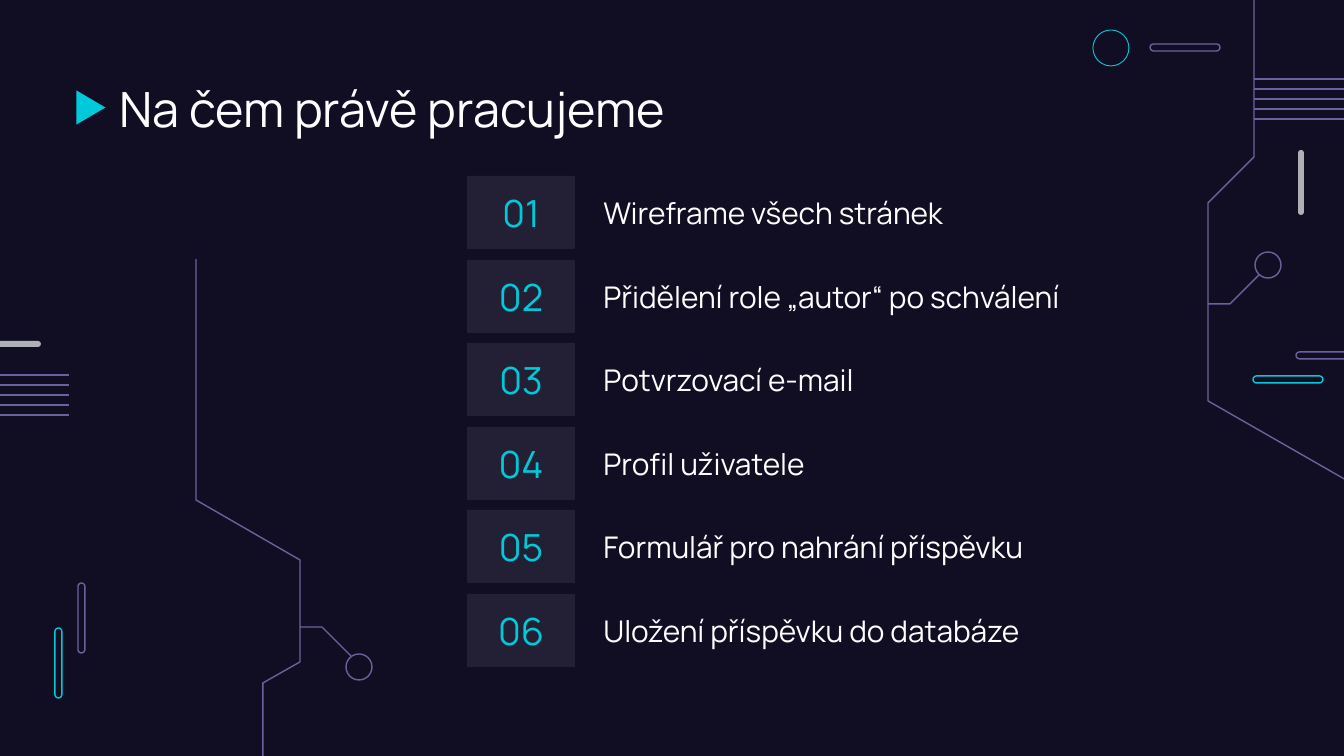
from copy import deepcopy
from dataclasses import dataclass

from lxml import etree
from pptx import Presentation
from pptx import util as u
from pptx.dml.color import RGBColor
from pptx.enum import shapes, text
from pptx.oxml.ns import qn

SCALE = 914400 / 134.4
SHAPE = shapes.MSO_SHAPE


@dataclass(frozen=True)
class Theme:
    font: str = "Manrope"
    background: str = "110E24"
    accent: str = "00CADA"
    circuit: str = "69639C"
    bar: str = "AFAFB6"
    light: str = "FFFFFF"
    card_alpha: int = 8
    title_size: int = 26
    number_size: int = 20
    task_size: int = 16
    stroke: float = 0.75
    thin_stroke: float = 0.47


THEME = Theme()
HEADING = "Na čem právě pracujeme"
TASKS = [
    ("Wireframe všech stránek", 399),
    ("Přidělení role „autor“ po schválení", 573),
    ("Potvrzovací e-mail", 399),
    ("Profil uživatele", 399),
    ("Formulář pro nahrání příspěvku", 503),
    ("Uložení příspěvku do databáze", 558),
]
FIRST_ROW, LAST_ROW, ROW_HEIGHT = 176, 594, 73
PILL_LONG, PILL_SHORT = 70, 7
BAR_LONG, BAR_SHORT = 65, 6
BUS_LINES, BUS_GAP = 5, 10


def px(length):
    return u.Emu(round(length * SCALE))


def rgb(color):
    return RGBColor.from_string(color)


def place(shape, *box):
    shape.left, shape.top, shape.width, shape.height = map(px, box)


def style(shape, fill=None, line=None, width=THEME.stroke):
    shape.shadow.inherit = False
    if fill:
        shape.fill.solid()
        shape.fill.fore_color.rgb = rgb(fill)
    else:
        shape.fill.background()
    if line:
        shape.line.color.rgb = rgb(line)
        shape.line.width = u.Pt(width)
    else:
        shape.line.fill.background()


def write(shape, words, size, color, align=text.PP_ALIGN.LEFT):
    frame = shape.text_frame
    frame.word_wrap = True
    frame.auto_size = text.MSO_AUTO_SIZE.NONE
    frame.vertical_anchor = text.MSO_ANCHOR.MIDDLE
    frame.margin_left = frame.margin_right = u.Inches(0.1)
    frame.margin_top = frame.margin_bottom = u.Inches(0.1)
    paragraph = frame.paragraphs[0]
    paragraph.alignment = align
    paragraph.space_before = u.Pt(0)
    run = paragraph.add_run()
    run.text = words
    run.font.name = THEME.font
    run.font.size = u.Pt(size)
    run.font.color.rgb = rgb(color)
    return paragraph


def remove_bullet(paragraph):
    properties = paragraph._p.get_or_add_pPr()
    properties.set("marL", "0")
    properties.set("indent", "0")
    etree.SubElement(properties, qn("a:buNone"))


def add_task_layout(deck):
    layout = deck.slide_layouts[1]
    body = layout.placeholders[1]
    for number in range(1, len(TASKS)):
        task_slot = deepcopy(body._element)
        task_slot.ph.idx = 20 + number
        task_slot.nvSpPr.cNvPr.set("id", str(20 + number))
        layout.shapes._spTree.append(task_slot)
    return layout


def add_preset(slide, kind, box, **look):
    shape = slide.shapes.add_shape(kind, *map(px, box))
    style(shape, **look)
    return shape


def add_capsule(slide, box, **look):
    add_preset(slide, SHAPE.ROUNDED_RECTANGLE, box, **look).adjustments[0] = 0.5


def add_trace(slide, points):
    start, *rest = [(px(x), px(y)) for x, y in points]
    builder = slide.shapes.build_freeform(*start)
    builder.add_line_segments(rest, close=False)
    style(builder.convert_to_shape(), line=THEME.circuit)


def add_bus(slide, start, end, top):
    for number in range(BUS_LINES):
        y = px(top + number * BUS_GAP)
        wire = slide.shapes.add_connector(
            shapes.MSO_CONNECTOR.STRAIGHT, px(start), y, px(end), y)
        wire.line.color.rgb = rgb(THEME.circuit)
        wire.line.width = u.Pt(THEME.stroke)
        etree.SubElement(wire._element.spPr, qn("a:effectLst"))


def add_circuits(slide):
    for x, y, color in ((55, 628, THEME.accent), (78, 583, THEME.circuit)):
        add_capsule(slide, (x, y, PILL_SHORT, PILL_LONG), line=color)
    for x, y, color in ((1253, 376, THEME.accent), (1296, 352, THEME.circuit),
                        (1150, 44, THEME.circuit)):
        add_capsule(slide, (x, y, PILL_LONG, PILL_SHORT), line=color)
    add_capsule(slide, (1298, 150, BAR_SHORT, BAR_LONG), fill=THEME.bar)
    add_capsule(slide, (-24, 341, BAR_LONG, BAR_SHORT), fill=THEME.bar)

    add_preset(slide, SHAPE.OVAL, (1093, 30, 36, 36),
               line=THEME.accent, width=THEME.thin_stroke)
    for x, y in ((1255, 252), (346, 654)):
        add_preset(slide, SHAPE.OVAL, (x, y, 26, 26), line=THEME.circuit)

    add_trace(slide, [(1360, 488), (1208, 401), (1208, 203), (1254, 157), (1254, -8)])
    add_trace(slide, [(1259, 275), (1230, 304), (1208, 304)])
    add_trace(slide, [(196, 259), (196, 500), (300, 560), (300, 662),
                      (263, 683), (263, 768)])
    add_trace(slide, [(351, 656), (322, 627), (300, 627)])
    add_bus(slide, 1254, 1452, 79)
    add_bus(slide, 69, -82, 375)


def add_heading(slide):
    marker = add_preset(slide, SHAPE.FLOWCHART_MERGE, (74, 93, 34, 29),
                        fill=THEME.accent)
    marker.rotation = 270
    heading = slide.shapes.title
    place(heading, 106, 66, 1133, 84)
    write(heading, HEADING, THEME.title_size, THEME.light)


def add_number(slide, number, top):
    card = add_preset(slide, SHAPE.RECTANGLE, (467, top, 108, ROW_HEIGHT),
                      fill=THEME.light)
    tint = card._element.spPr.find(qn("a:solidFill"))[0]
    etree.SubElement(tint, qn("a:alpha"), val=str(THEME.card_alpha * 1000))
    write(card, f"{number:02d}", THEME.number_size, THEME.accent,
          text.PP_ALIGN.CENTER)


def add_tasks(slide):
    pitch = (LAST_ROW - FIRST_ROW) / (len(TASKS) - 1)
    slots = list(slide.placeholders)[1:]
    for row, (slot, (task, width)) in enumerate(zip(slots, TASKS)):
        top = round(FIRST_ROW + row * pitch)
        add_number(slide, row + 1, top)
        place(slot, 590, top, width, ROW_HEIGHT)
        remove_bullet(write(slot, task, THEME.task_size, THEME.light))


def main():
    deck = Presentation()
    deck.slide_width, deck.slide_height = px(1344), px(756)
    slide = deck.slides.add_slide(add_task_layout(deck))
    slide.background.fill.solid()
    slide.background.fill.fore_color.rgb = rgb(THEME.background)
    add_circuits(slide)
    add_heading(slide)
    add_tasks(slide)
    deck.save("out.pptx")


if __name__ == "__main__":
    main()
